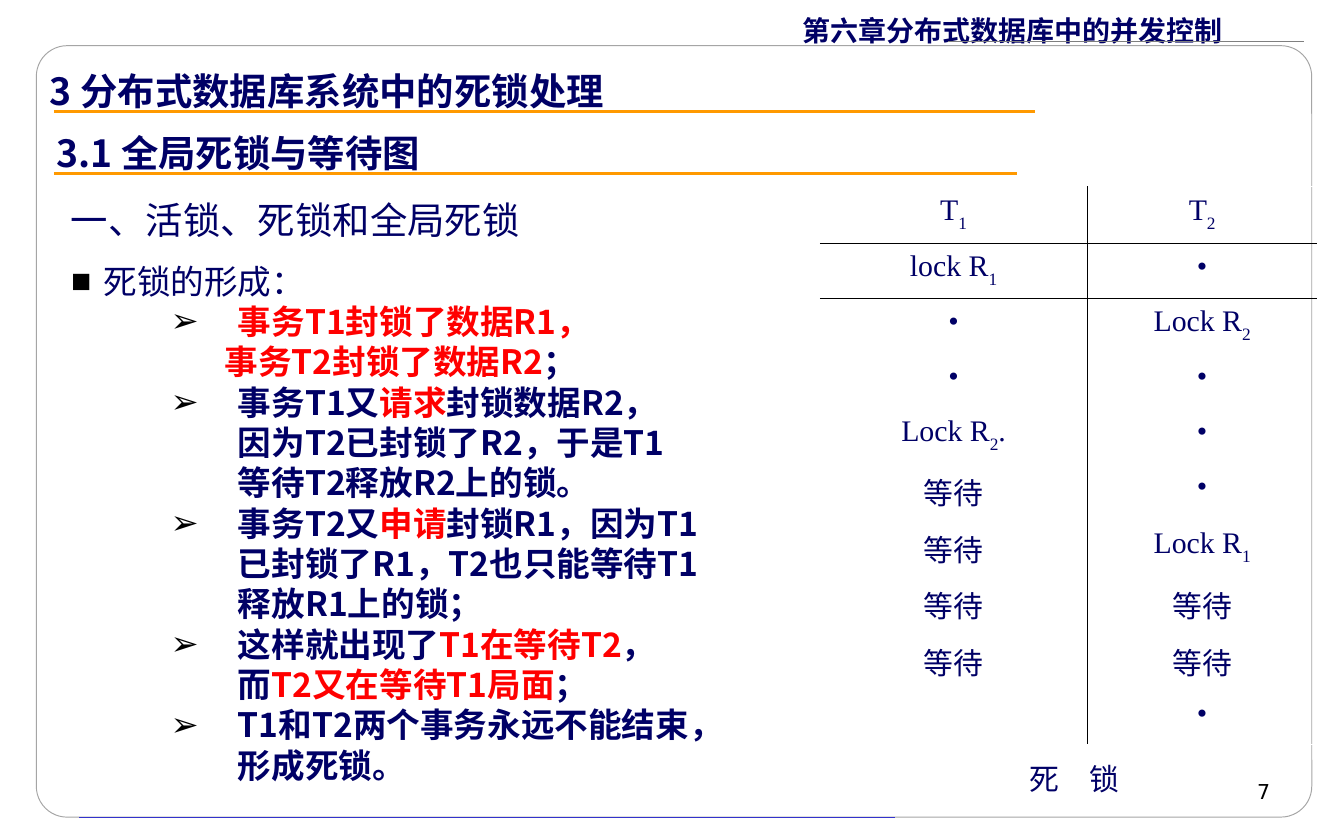
import dataclasses

import pptx
import pptx.dml.color
import pptx.enum.shapes
import pptx.enum.text
import pptx.oxml
import pptx.oxml.ns
import pptx.util
from lxml import etree

PX = 9144  # 100 px to the inch
ALIGN = pptx.enum.text.PP_ALIGN
SHAPES = pptx.enum.shapes


@dataclasses.dataclass(frozen=True)
class Theme:
    navy: str = "000066"
    red: str = "FF0000"
    black: str = "000000"
    white: str = "FFFFFF"
    orange: str = "FF9900"
    blue: str = "3333CC"
    grey: str = "7F7F7F"
    light_grey: str = "A5A5A5"
    sans: str = "Noto Sans CJK SC"
    serif: str = "Times New Roman"
    number_font: str = "DejaVu Sans"
    heading: int = 20
    body: int = 18
    cell: int = 16
    chapter: int = 15
    number: int = 11


THEME = Theme()
NO_TABLE_STYLE = "{2D5ABB26-0587-4C30-8999-92F81FD0307C}"

# Each step: (show arrow, spans); a span is (text, colour), "\v" breaks the line.
STEPS = [
    (True, [("事务T1封锁了数据R1，", THEME.red)]),
    (False, [("事务T2封锁了数据R2", THEME.red), ("；", THEME.navy)]),
    (True, [("事务T1又", THEME.navy), ("请求", THEME.red),
            ("封锁数据R2，\v因为T2已封锁了R2，于是T1\v等待T2释放R2上的锁。", THEME.navy)]),
    (True, [("事务T2又", THEME.navy), ("申请", THEME.red),
            ("封锁R1，因为T1 已封锁了R1，T2也只能等待T1 释放R1上的锁；", THEME.navy)]),
    (True, [("这样就出现了", THEME.navy), ("T1在等待T2", THEME.red), ("，\v而", THEME.navy),
            ("T2又在等待T1局面", THEME.red), ("；", THEME.navy)]),
    (True, [("T1和T2两个事务永远不能结束，形成死锁。", THEME.navy)]),
]

# Every second part between bars is a subscript.
SCHEDULE = [
    ("T|1", "T|2"),
    ("lock R|1", "•"),
    ("•", "Lock R|2"),
    ("•", "•"),
    ("Lock R|2|.", "•"),
    ("等待", "•"),
    ("等待", "Lock R|1"),
    ("等待", "等待"),
    ("等待", "等待"),
    ("", "•"),
]
COLUMN_WIDTHS = [199, 171]
ROW_HEIGHTS = [42, 41, 41, 41, 41, 40, 41, 40, 41, 37]


def rgb(color):
    return pptx.dml.color.RGBColor.from_string(color)


def add_child(parent, tag, **attributes):
    return etree.SubElement(parent, pptx.oxml.ns.qn(tag), attributes)


def place(shape, left, top, width, height):
    shape.left, shape.top = left * PX, top * PX
    shape.width, shape.height = width * PX, height * PX


def add_span(para, text, size, color=THEME.navy, font=THEME.sans, bold=False):
    span = para.add_run()
    span.text = text
    span.font.name = font
    span.font.size = pptx.util.Pt(size)
    span.font.bold = bold
    span.font.color.rgb = rgb(color)
    add_child(span.font._element, "a:ea", typeface=THEME.sans)
    return span


def prepare_frame(box, wrap=True):
    frame = box.text_frame
    frame.word_wrap = wrap
    frame.auto_size = pptx.enum.text.MSO_AUTO_SIZE.NONE
    frame.vertical_anchor = pptx.enum.text.MSO_ANCHOR.TOP
    return frame


def write_line(box, text, size, align=ALIGN.LEFT, wrap=True, **style):
    """Fill a box with a single line of text."""
    para = prepare_frame(box, wrap).paragraphs[0]
    para.alignment = align
    para.line_spacing = pptx.util.Pt(size * 1.3)
    add_span(para, text, size, **style)


def add_label(page, bounds, text, size, **style):
    box = page.shapes.add_textbox(*(length * PX for length in bounds))
    write_line(box, text, size, **style)


def add_rule(page, left, top, right, color, weight):
    rule = page.shapes.add_connector(
        SHAPES.MSO_CONNECTOR.STRAIGHT, left * PX, top * PX, right * PX, top * PX)
    rule.line.color.rgb = rgb(color)
    rule.line.width = pptx.util.Pt(weight)
    add_child(rule._element.spPr, "a:effectLst")


def add_panel(page):
    """Rounded translucent panel, sent behind the placeholders."""
    panel = page.shapes.add_shape(SHAPES.MSO_SHAPE.ROUNDED_RECTANGLE, 0, 0, 0, 0)
    place(panel, 27, 34, 949, 574)
    panel.adjustments[0] = 0.04
    panel.shadow.inherit = False
    panel.fill.solid()
    panel.fill.fore_color.rgb = rgb(THEME.white)
    color = panel._element.spPr.find(".//" + pptx.oxml.ns.qn("a:srgbClr"))
    add_child(color, "a:alpha", val="85000")
    panel.line.color.rgb = rgb(THEME.light_grey)
    panel.line.width = pptx.util.Pt(0.5)
    page.shapes._spTree.insert(2, panel._element)


def format_list_item(para, bullet, margin, hanging):
    properties = para._p.get_or_add_pPr()
    properties.set("marL", str(margin * PX))
    properties.set("indent", str(-hanging * PX))
    if bullet:
        add_child(add_child(properties, "a:buClr"), "a:srgbClr", val=THEME.black)
        add_child(properties, "a:buChar", char=bullet)
    else:
        add_child(properties, "a:buNone")
    para.line_spacing = pptx.util.Pt(THEME.body * 1.2)
    para.space_before = pptx.util.Pt(0)


def fill_body(body):
    place(body, 43, 189, 508, 400)
    frame = prepare_frame(body)
    lead = frame.paragraphs[0]
    format_list_item(lead, "■", 24, 24)
    add_span(lead, "死锁的形成：", THEME.body)
    for has_arrow, spans in STEPS:
        para = frame.add_paragraph()
        para.level = 1
        if has_arrow:
            format_list_item(para, "➢", 124, 50)
        else:
            format_list_item(para, None, 114, 0)
        for text, color in spans:
            for index, piece in enumerate(text.split("\v")):
                if index:
                    para.add_line_break()
                add_span(para, piece, THEME.body, color, bold=True)


def set_borders(cell, **colors):
    properties = cell._tc.get_or_add_tcPr()
    for side in ("L", "R", "T", "B"):
        if side in colors:
            line = add_child(properties, "a:ln" + side, w=str(pptx.util.Pt(0.45)))
            add_child(add_child(line, "a:solidFill"), "a:srgbClr", val=colors[side])


def add_schedule(page):
    last = len(SCHEDULE) - 1
    holder = page.shapes.add_table(len(SCHEDULE), 2, 610 * PX, 139 * PX,
                                   sum(COLUMN_WIDTHS) * PX, sum(ROW_HEIGHTS) * PX)
    table = holder.table
    table.first_row = table.horz_banding = False
    table._tbl.tblPr.find(pptx.oxml.ns.qn("a:tableStyleId")).text = NO_TABLE_STYLE
    for column, width in zip(table.columns, COLUMN_WIDTHS):
        column.width = width * PX
    for row, (texts, height) in enumerate(zip(SCHEDULE, ROW_HEIGHTS)):
        table.rows[row].height = height * PX
        for column, text in enumerate(texts):
            cell = table.cell(row, column)
            borders = {"L": THEME.black, "R": THEME.white} if column else {"R": THEME.black}
            if row < 2:
                borders["T"] = THEME.black if row else THEME.white
            if row in (0, last):
                borders["B"] = THEME.white if row else THEME.black
            set_borders(cell, **borders)
            cell.fill.background()
            para = cell.text_frame.paragraphs[0]
            para.alignment = ALIGN.CENTER
            for index, piece in enumerate(text.split("|") if text else []):
                span = add_span(para, piece, THEME.cell, font=THEME.serif)
                if index % 2:
                    span.font._element.set("baseline", "-30000")


def main():
    deck = pptx.Presentation()
    deck.slide_width, deck.slide_height = 1000 * PX, 625 * PX
    page = deck.slides.add_slide(deck.slide_layouts[1])
    title, body = page.placeholders

    add_panel(page)
    add_rule(page, 59, 608, 666, THEME.blue, 0.25)
    add_label(page, (587, 3, 378, 34), "第六章分布式数据库中的并发控制", THEME.chapter, bold=True)
    add_rule(page, 705, 31, 970, THEME.grey, 0.75)
    add_label(page, (705, 573, 250, 23), "7", THEME.number, align=ALIGN.RIGHT,
              color=THEME.black, font=THEME.number_font)

    place(title, 27, 43, 799, 44)
    write_line(title, "3 分布式数据库系统中的死锁处理", THEME.heading, bold=True)
    add_rule(page, 40, 83, 770, THEME.orange, 1.5)
    add_label(page, (32, 89, 799, 44), "3.1 全局死锁与等待图", THEME.heading, bold=True)
    add_rule(page, 40, 129, 757, THEME.orange, 1.5)
    add_label(page, (43, 139, 693, 44), "一、活锁、死锁和全局死锁", THEME.heading)

    fill_body(body)
    add_schedule(page)
    add_label(page, (720, 559, 159, 37), "死　锁", THEME.cell, align=ALIGN.CENTER,
              wrap=False, font=THEME.serif)
    deck.save("out.pptx")


if __name__ == "__main__":
    main()
